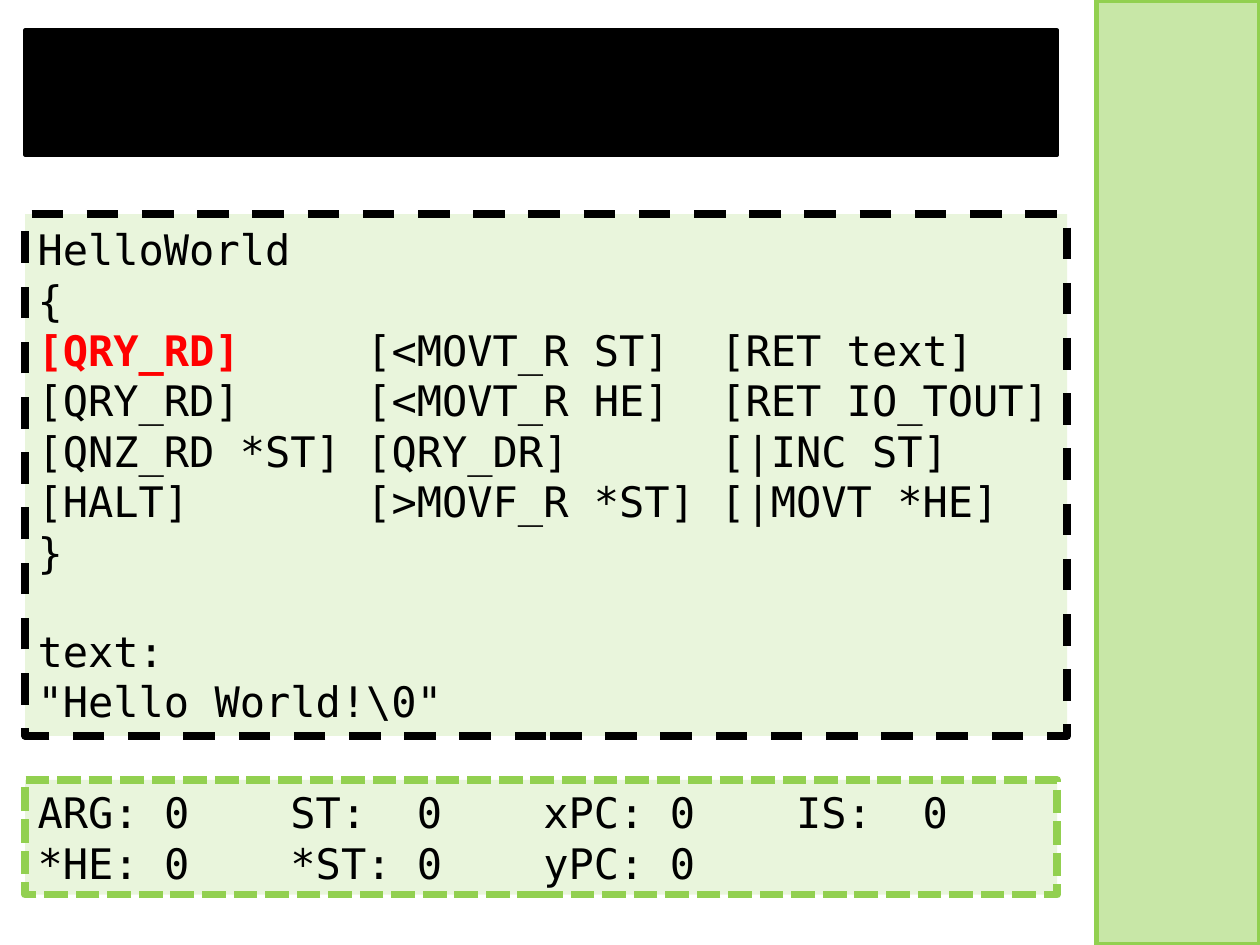
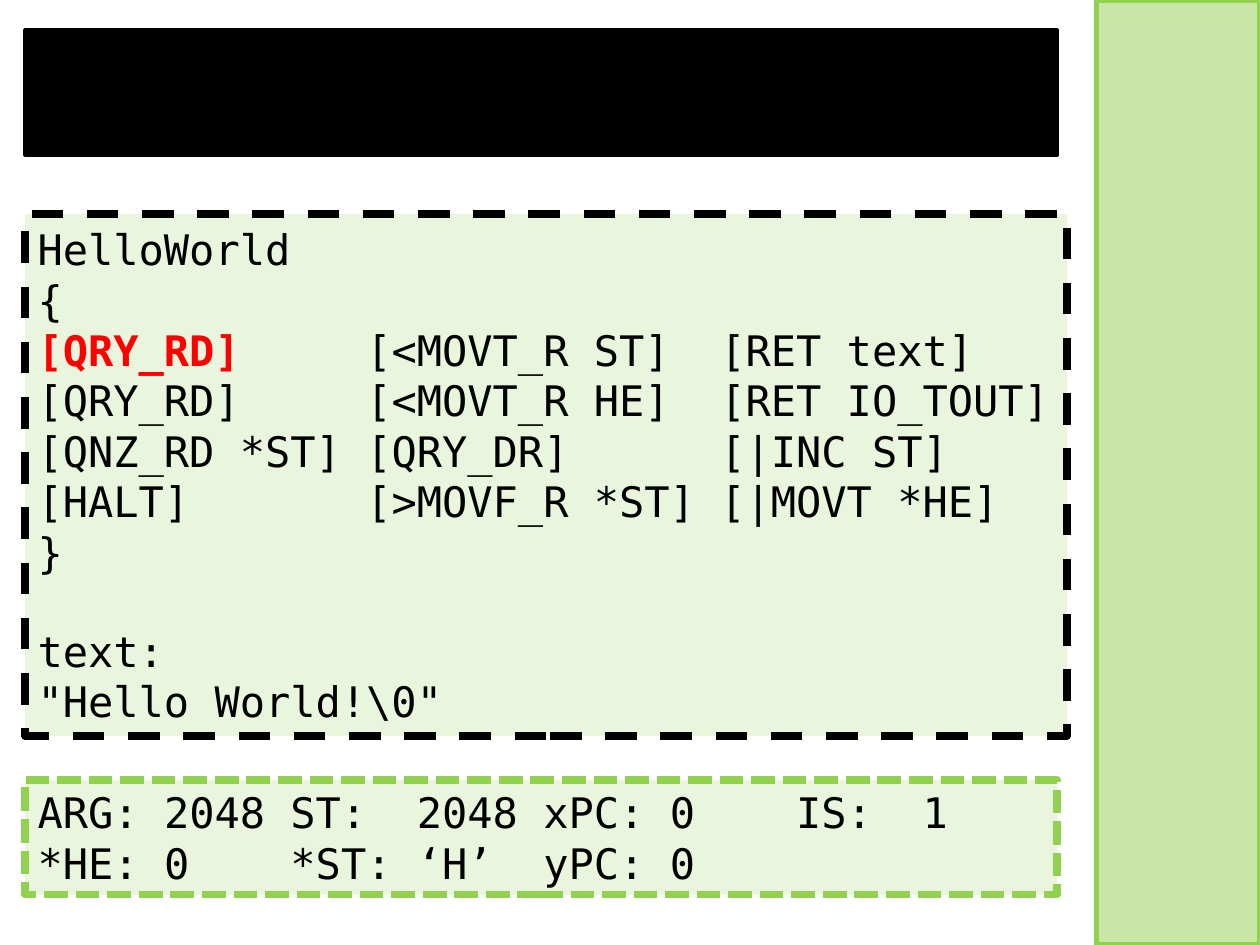
from lxml import etree
from pptx import Presentation
from pptx.dml.color import RGBColor
from pptx.enum.dml import MSO_LINE
from pptx.enum.shapes import MSO_SHAPE
from pptx.enum.text import MSO_ANCHOR, PP_ALIGN
from pptx.oxml.ns import qn
from pptx.util import Inches, Pt

RECTANGLE = MSO_SHAPE.RECTANGLE
DASH, SHORT_DASH = MSO_LINE.DASH, MSO_LINE.SQUARE_DOT
MIDDLE, LEFT = MSO_ANCHOR.MIDDLE, PP_ALIGN.LEFT

GREEN = RGBColor(0x92, 0xD0, 0x50)
BLACK = RGBColor(0x00, 0x00, 0x00)
RED = RGBColor(0xFF, 0x00, 0x00)
FONT, SIZE = "DejaVu Sans Mono", Pt(24)
CHAR = Pt(14.45)  # width of one monospaced character
LINE_HEIGHT = Pt(28)

prs = Presentation()
prs.slide_width, prs.slide_height = Inches(10), Inches(7.5)
COL, ROW = prs.slide_width / 100, prs.slide_height / 75

# Tab stops, in characters
CODE_TABS = (13, 27)
REGISTER_TABS = (5, 10, 15, 20, 25, 30, 35)

CURRENT = "[QRY_RD]"
PROGRAM = [
    "HelloWorld",
    "{",
    "\t[<MOVT_R ST]\t[RET text]",  # follows the current instruction
    "[QRY_RD]\t[<MOVT_R HE]\t[RET IO_TOUT]",
    "[QNZ_RD *ST]\t[QRY_DR]\t[|INC ST]",
    "[HALT]\t[>MOVF_R *ST]\t[|MOVT *HE]",
    "}",
    "text:",
    '"Hello World!\\0"',
]
CURRENT_LINE = 2

# Register values at each step of the run
STEPS = [
    dict(ARG="0", ST="0", IS="0", top="0"),
    dict(ARG="2048", ST="2048", IS="1", top="‘H’"),
]


def add_panel(slide, left, top, width, height, fill, line, points, opacity=100, dash=None):
    panel = slide.shapes.add_shape(
        RECTANGLE, *(int(v) for v in (left * COL, top * ROW, width * COL, height * ROW)))
    panel.shadow.inherit = False
    panel.fill.solid()
    panel.fill.fore_color.rgb = fill
    if opacity < 100:
        color = panel.fill._xPr.find(qn("a:solidFill"))[0]
        etree.SubElement(color, qn("a:alpha"), val=str(opacity * 1000))
    panel.line.color.rgb = line
    panel.line.width = Pt(points)
    if dash is not None:
        panel.line.dash_style = dash
    return panel


def write_lines(panel, lines, tabs):
    frame = panel.text_frame
    frame.word_wrap = True
    frame.vertical_anchor = MIDDLE
    for number, text in enumerate(lines):
        paragraph = frame.paragraphs[0] if number == 0 else frame.add_paragraph()
        paragraph.alignment = LEFT
        stops = etree.SubElement(paragraph._p.get_or_add_pPr(), qn("a:tabLst"))
        for stop in tabs:
            etree.SubElement(stops, qn("a:tab"), pos=str(int(stop * CHAR)), algn="l")
        paragraph.font.name, paragraph.font.size = FONT, SIZE
        paragraph.font.color.rgb = BLACK
        paragraph.add_run().text = text
    return frame.paragraphs


for step in STEPS:
    slide = prs.slides.add_slide(prs.slide_layouts[6])

    # Program listing, with the current instruction in red
    listing = add_panel(slide, 2, 17, 82.7, 41.4, GREEN, BLACK, 4.5, 20, DASH)
    code = write_lines(listing, PROGRAM, CODE_TABS)
    code[PROGRAM.index("text:")].space_before = LINE_HEIGHT
    row = code[CURRENT_LINE]
    rest = row.runs[0]
    current = row.add_run()
    current.text = CURRENT
    current.font.bold = True
    current.font.color.rgb = RED
    rest._r.addprevious(current._r)

    # Side band
    add_panel(slide, 87, 0, 13, 75, GREEN, GREEN, 3, 50)

    # Registers
    registers = add_panel(slide, 2, 61.9, 81.9, 9.1, GREEN, GREEN, 4.5, 20, SHORT_DASH)
    write_lines(registers, [
        f"ARG:\t{step['ARG']}\tST:\t{step['ST']}\txPC:\t0\tIS:\t{step['IS']}",
        f"*HE:\t0\t*ST:\t{step['top']}\tyPC:\t0",
    ], REGISTER_TABS)

    # Title band
    add_panel(slide, 2, 2.4, 81.9, 9.9, BLACK, BLACK, 2)

prs.save("out.pptx")
